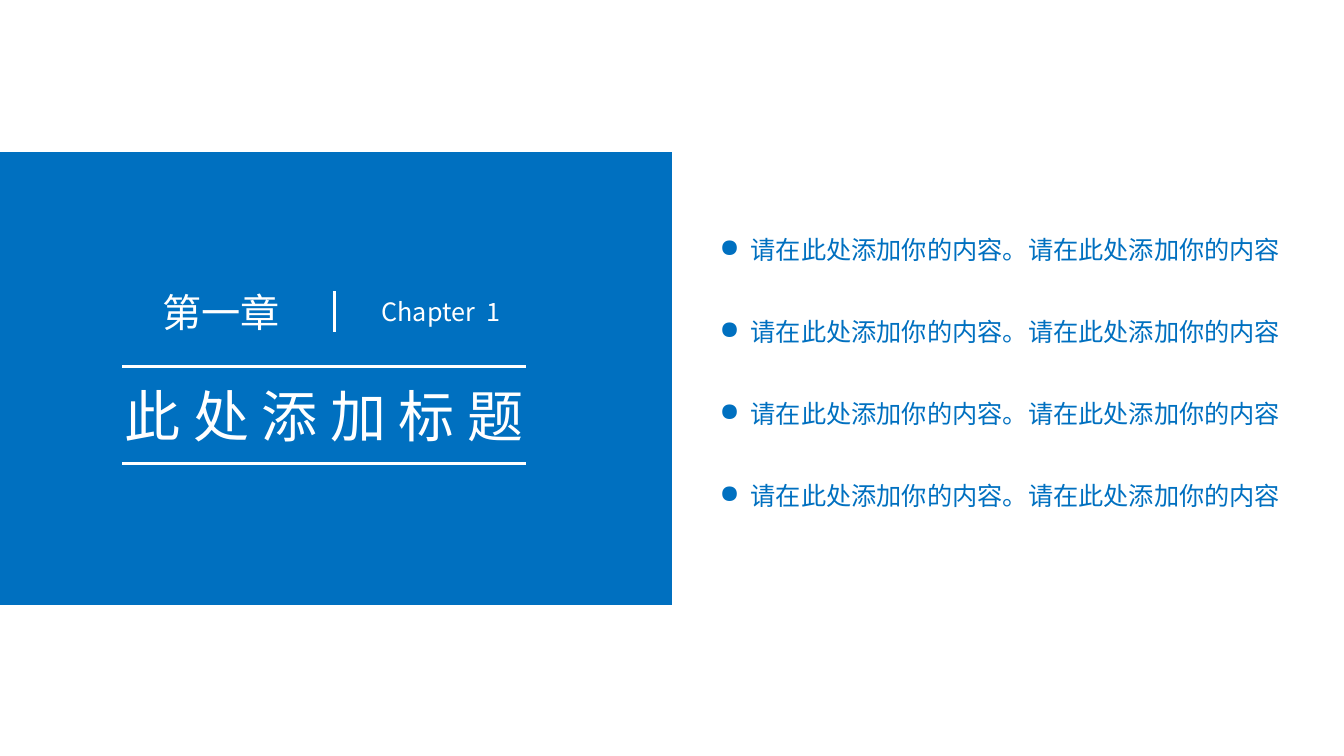
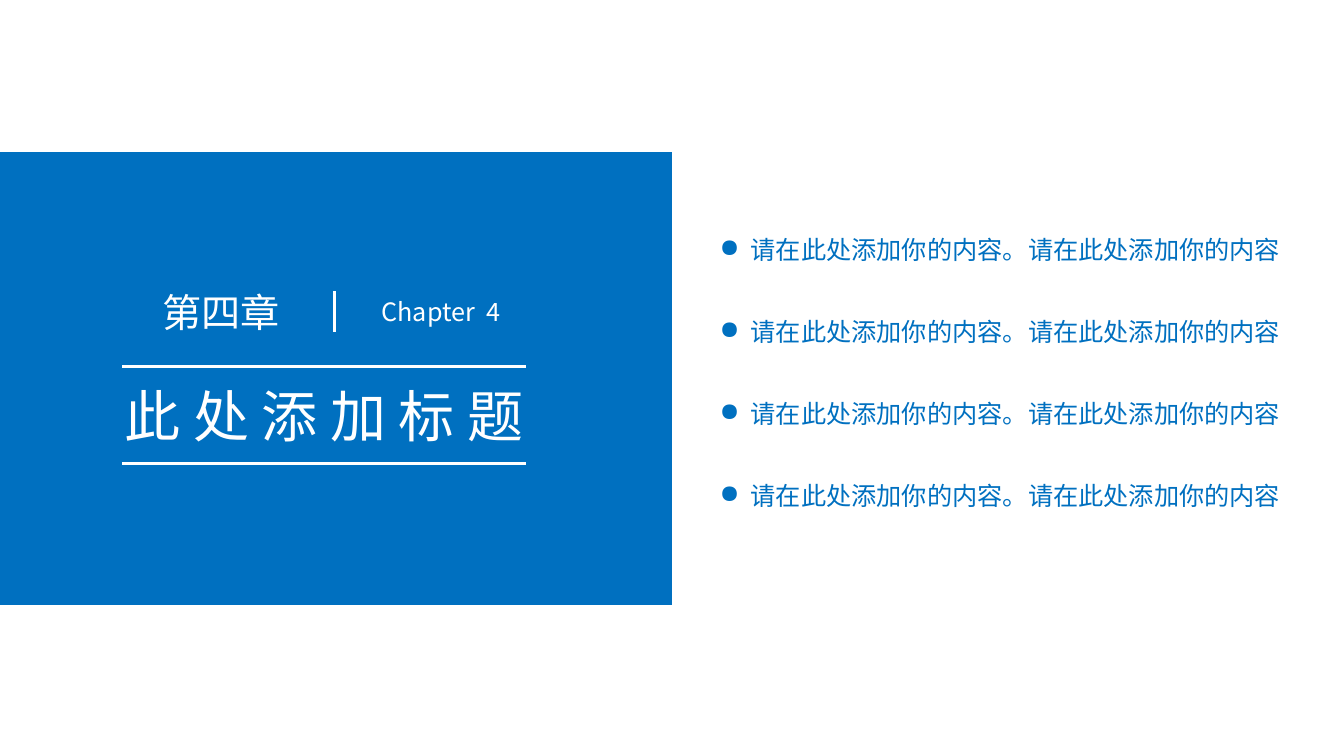
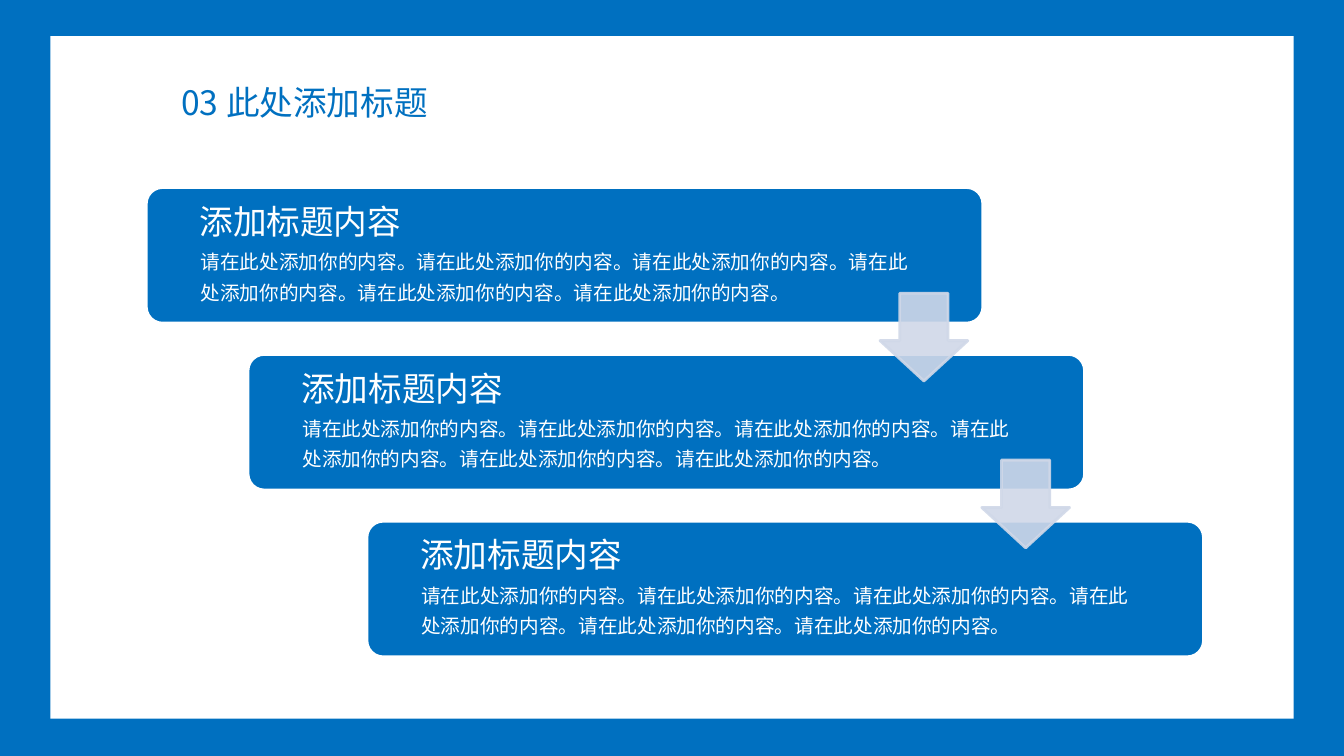
from dataclasses import dataclass

from lxml import etree
from pptx import Presentation
from pptx import util as u
from pptx.dml.color import RGBColor
from pptx.enum import shapes, text
from pptx.oxml import ns


@dataclass(frozen=True)
class Theme:
    font: str = "Noto Sans CJK SC"
    blue: RGBColor = RGBColor(0x00, 0x70, 0xC0)
    white: RGBColor = RGBColor(0xFF, 0xFF, 0xFF)
    pale: RGBColor = RGBColor(0xD0, 0xD8, 0xE8)
    display: int = 40
    chapter: int = 28
    heading: int = 24
    bullet: int = 18
    body: int = 14
    stroke: int = 2


theme = Theme()
deck = Presentation()
deck.slide_width, deck.slide_height = u.Inches(13.33), u.Inches(7.5)
blank = deck.slide_layouts[6]
column, row = deck.slide_width / 100, deck.slide_height / 100
grid = (column, row, column, row)


def write(page, area, *lines, size, color, align=text.PP_ALIGN.LEFT,
          spacing=1.0, after=0, inset=None, bullet=None):
    box = page.shapes.add_textbox(*[round(n * unit) for n, unit in zip(area, grid)])
    frame = box.text_frame
    frame.word_wrap = True
    if inset is not None:
        frame.margin_left = frame.margin_right = inset
        frame.margin_top = frame.margin_bottom = inset
    for index, line in enumerate(lines):
        para = frame.add_paragraph() if index else frame.paragraphs[0]
        para.alignment = align
        para.line_spacing = spacing
        para.space_after = u.Pt(after)
        if bullet:
            properties = para._p.get_or_add_pPr()
            properties.set("marL", str(u.Inches(0.31)))
            properties.set("indent", str(-u.Inches(0.31)))
            etree.SubElement(properties, ns.qn("a:buChar"), char=bullet)
        span = para.add_run()
        span.text = line
        span.font.size = u.Pt(size)
        span.font.name = theme.font
        span.font.color.rgb = color
        etree.SubElement(span._r.get_or_add_rPr(), ns.qn("a:ea"), typeface=theme.font)


def draw(page, kind, area, fill, outline=None, adjust=()):
    shape = page.shapes.add_shape(kind, *[round(n * unit) for n, unit in zip(area, grid)])
    shape.shadow.inherit = False
    shape.fill.solid()
    shape.fill.fore_color.rgb = fill
    for index, value in enumerate(adjust):
        shape.adjustments[index] = value
    if outline is None:
        shape.line.fill.background()
    else:
        shape.line.color.rgb = outline
        shape.line.width = u.Pt(theme.stroke)
        etree.SubElement(shape.line._ln, ns.qn("a:round"))
    return shape


point = "请在此处添加你的内容。请在此处添加你的内容"
rules = [(24.9, 38.53, 24.9, 43.87)] + [(9.08, y, 39.15, y) for y in (48.53, 61.33)]

for chapter, label in (("第一章", "Chapter  1"), ("第四章", "Chapter  4")):
    page = deck.slides.add_slide(blank)
    draw(page, shapes.MSO_SHAPE.RECTANGLE, (0, 20.13, 50, 59.87), theme.blue)
    for words, area, size in (
        (chapter, (6.45, 37.47, 19.95, 7.6), theme.chapter),
        (label, (24.08, 38.53, 17.48, 5.33), theme.bullet),
        ("此 处 添 加 标 题", (5.63, 49.87, 36.98, 10.27), theme.display),
    ):
        write(page, area, words, size=size, color=theme.white, align=text.PP_ALIGN.CENTER)
    for rule in rules:
        ends = [round(n * unit) for n, unit in zip(rule, grid)]
        line = page.shapes.add_connector(shapes.MSO_CONNECTOR.STRAIGHT, *ends)
        line.line.color.rgb = theme.white
        line.line.width = u.Pt(theme.stroke)
        etree.SubElement(line._element.spPr, ns.qn("a:effectLst"))
    write(page, (52.8, 28.4, 44.48, 43.07), *[point] * 4, size=theme.bullet,
          color=theme.blue, spacing=1.5, after=26, bullet="●")

page = deck.slides.add_slide(blank)
page.background.fill.solid()
page.background.fill.fore_color.rgb = theme.blue
draw(page, shapes.MSO_SHAPE.RECTANGLE, (3.75, 4.8, 92.5, 90.27), theme.white)
write(page, (12.75, 10.13, 21.6, 6.67), "03 此处添加标题", size=theme.heading, color=theme.blue)

card_lefts = (10.88, 18.45, 27.3)
card_top, card_pitch = 24.8, 22.07
for step, left in reversed(list(enumerate(card_lefts))):
    top = card_top + step * card_pitch
    draw(page, shapes.MSO_SHAPE.ROUNDED_RECTANGLE, (left, top, 62.25, 17.95),
         theme.blue, theme.white, adjust=(0.12,))
    if step < len(card_lefts) - 1:
        arrow = draw(page, shapes.MSO_SHAPE.DOWN_ARROW, (left + 54.6, top + 14, 6.53, 11.6),
                     theme.pale, theme.pale, adjust=(0.55, 0.46))
        for tint in arrow._element.spPr.iter(ns.qn("a:srgbClr")):
            etree.SubElement(tint, ns.qn("a:alpha"), val="90000")
    write(page, (left + 3.23, top + 1.07, 20.1, 6.67), "添加标题内容",
          size=theme.heading, color=theme.white)
    write(page, (left + 4.05, top + 7.33, 53.78, 7.87), "请在此处添加你的内容。" * 6,
          size=theme.body, color=theme.white, spacing=1.3, inset=0)

deck.save("out.pptx")
